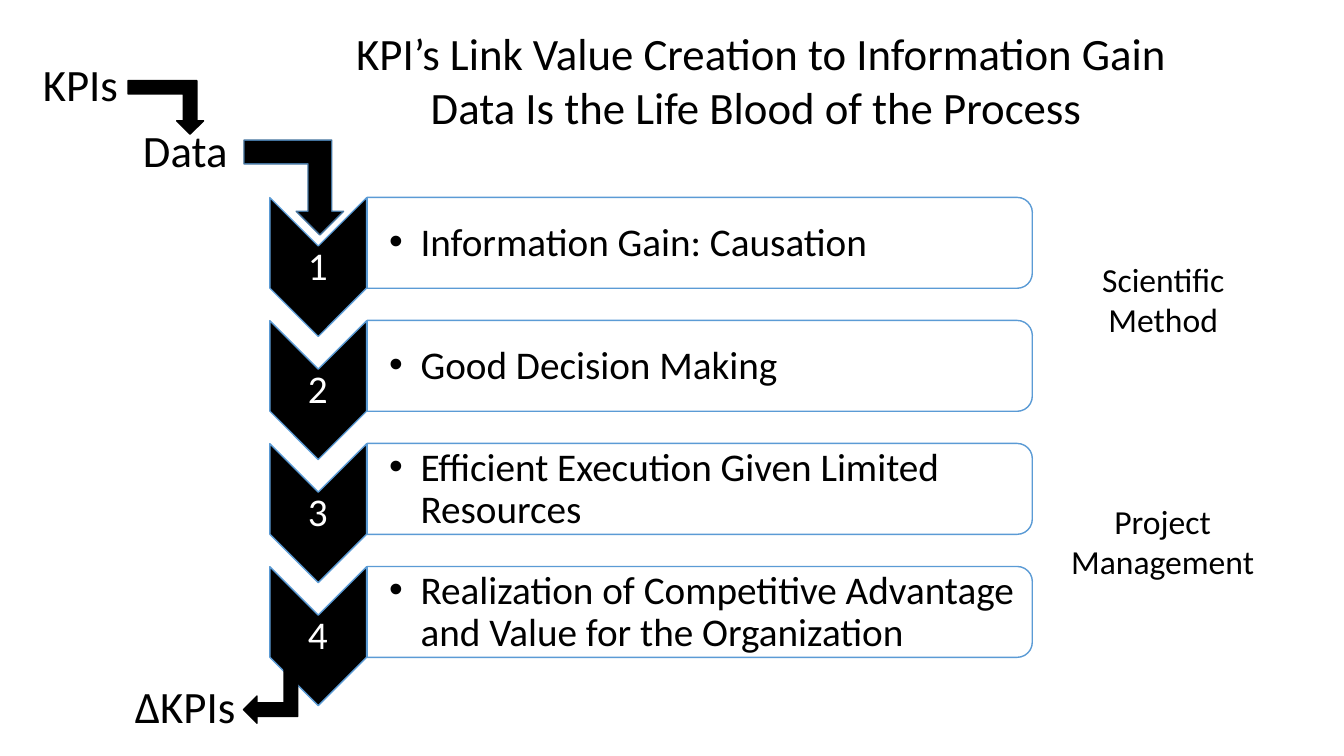
from pptx import Presentation
from pptx.dml.color import RGBColor
from pptx.enum.shapes import MSO_SHAPE
from pptx.enum.text import MSO_ANCHOR, PP_ALIGN
from pptx.oxml.ns import qn
from pptx.util import Cm, Pt
from lxml.etree import SubElement

BLACK = RGBColor(0, 0, 0)
WHITE = RGBColor(255, 255, 255)
BLUE = RGBColor(0x5B, 0x9B, 0xD5)
NAVY = RGBColor(0x43, 0x73, 0x9E)

# Content; boxes are left, top, width, height in cm
TITLE = ["KPI’s Link Value Creation to Information Gain",
         "Data Is the Life Blood of the Process "]
STEPS = ["Information Gain: Causation",
         "Good Decision Making",
         "Efficient Execution Given Limited Resources",
         "Realization of Competitive Advantage and Value for the Organization"]
LABELS = [("Scientific Method", 24, (26.8, 6.4, 5.03, 2.31)),
          ("Project Management", 24, (26.39, 12.5, 5.82, 2.31)),
          ("Data", 32, (2.51, 2.97, 4.32, 1.62)),
          ("KPIs", 32, (-0.13, 1.3, 4.32, 1.62)),
          ("∆KPIs", 32, (2.51, 16.97, 4.32, 1.62))]
ARROWS = [((6.15, 3.53, 2.51, 2.39), 180, NAVY),
          ((5.87, 16.59, 1.9, 1.37), 270, BLACK),
          ((3.23, 2.03, 1.9, 1.35), 180, BLACK)]

# Step layout: boxes of the first step, and the pitch between steps
PITCH = 3.1
CHEVRON = (6.27, 5.51, 3.5, 2.44)
NUMBER = (6.79, 6.22, 2.44, 1.04)
PANEL = (16.49, -2.26, 2.29, 16.76)
ITEM = (9.25, 5.11, 16.66, 2.06)

deck = Presentation()
deck.slide_width, deck.slide_height = Cm(33.87), Cm(19.05)
slide = deck.slides.add_slide(deck.slide_layouts[5])
shapes = slide.shapes


def cms(box, down=0):
    left, top, width, height = box
    return [Cm(v) for v in (left, top + down, width, height)]


def set_all(item, values):
    for name, value in values.items():
        setattr(item, name, value)


def draw(kind, box, turn, fill, line):
    shape = shapes.add_shape(kind, *box)
    shape.rotation = turn
    shape.shadow.inherit = False
    shape.fill.solid()
    shape.fill.fore_color.rgb = fill
    shape.line.color.rgb = line
    shape.line.width = Pt(1)
    return shape


def style(para, text, size, color=BLACK, **form):
    set_all(para, form)
    run = para.add_run()
    run.text = text
    set_all(run.font, {"name": "Calibri", "size": Pt(size)})
    run.font.color.rgb = color


def write(box, **frame):
    text = shapes.add_textbox(*box).text_frame
    set_all(text, {"word_wrap": True, **frame})
    return text.paragraphs[0]


# Title
title = shapes.title
set_all(title, dict(zip(("left", "top", "width", "height"),
                        cms((8.66, 0.53, 21.06, 3)))))
frame = title.text_frame
frame.vertical_anchor = MSO_ANCHOR.TOP
for i, line in enumerate(TITLE):
    para = frame.add_paragraph() if i else frame.paragraphs[0]
    style(para, line, 32, alignment=PP_ALIGN.CENTER)

# Numbered steps
tight = dict.fromkeys(("margin_left", "margin_top", "margin_right",
                       "margin_bottom"), Cm(0.05))
tight["vertical_anchor"] = MSO_ANCHOR.MIDDLE
for i, step in enumerate(STEPS):
    down = i * PITCH
    draw(MSO_SHAPE.CHEVRON, cms(CHEVRON, down), 90, BLACK, BLUE)
    style(write(cms(NUMBER, down), **tight), str(i + 1), 28, WHITE,
          alignment=PP_ALIGN.CENTER, line_spacing=0.9)

    panel = draw(MSO_SHAPE.ROUND_2_SAME_RECTANGLE, cms(PANEL, down), 90,
                 WHITE, BLUE)
    tint = panel.fill._xPr.find(qn("a:solidFill"))[0]
    SubElement(tint, qn("a:alpha"), val="90000")

    para = write(cms(ITEM, down), **{**tight, "margin_left": Cm(0.56)})
    props = para._p.get_or_add_pPr()
    props.set("marL", str(Cm(0.79)))
    props.set("indent", str(-Cm(0.79)))
    SubElement(props, qn("a:buFont"), typeface="Arial")
    SubElement(props, qn("a:buChar"), char="•")
    style(para, step, 28, level=1, line_spacing=0.9)

# Bent arrows, mirrored
for box, turn, line in ARROWS:
    arrow = draw(MSO_SHAPE.BENT_UP_ARROW, cms(box), turn, BLACK, line)
    arrow._element.spPr.find(qn("a:xfrm")).set("flipH", "1")

# Labels
for text, size, box in LABELS:
    style(write(cms(box)), text, size, alignment=PP_ALIGN.CENTER)

deck.save("out.pptx")
